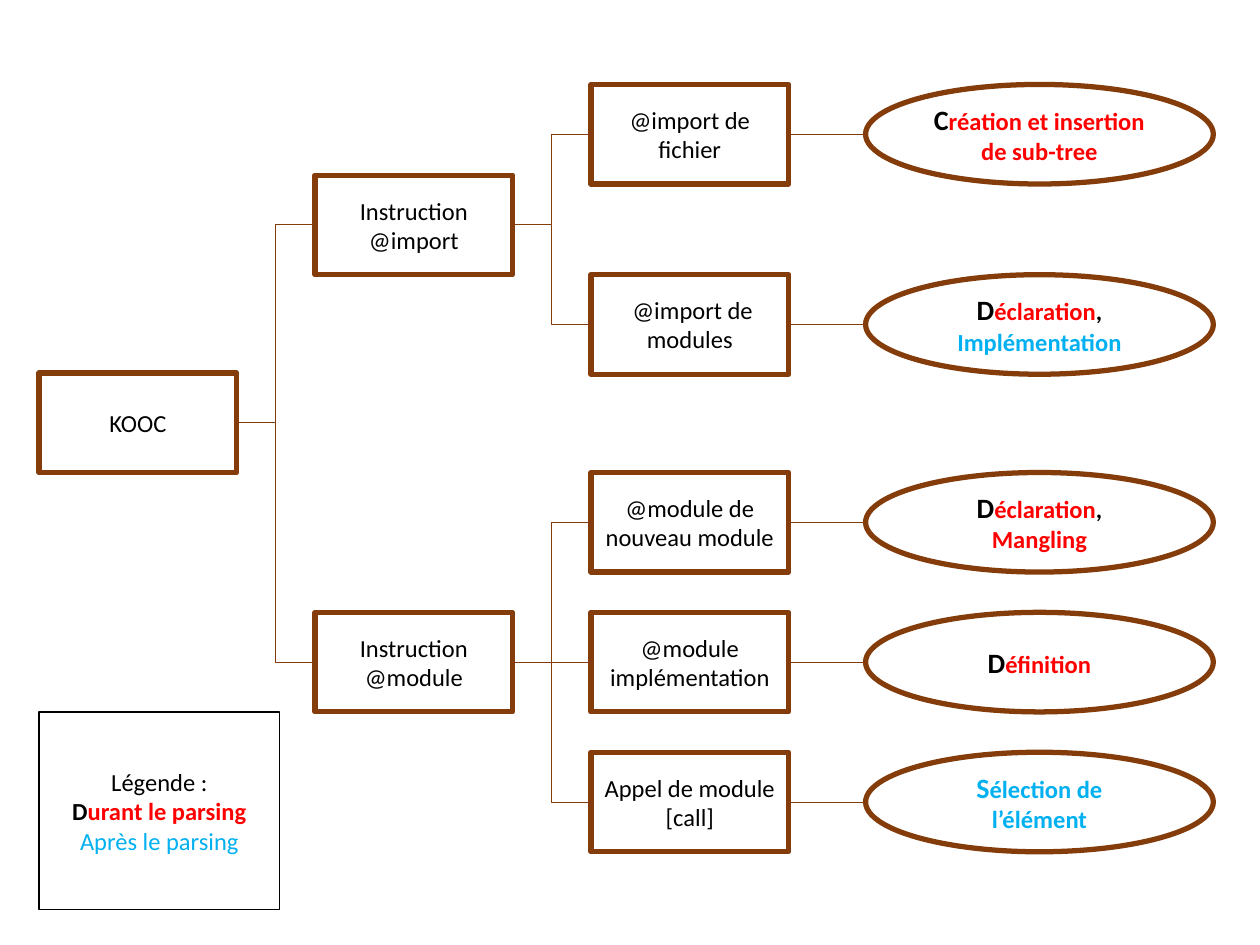
from pptx import Presentation, util as u
from pptx.dml.color import RGBColor
from pptx.enum import shapes, text
from lxml import etree

BROWN = RGBColor(0x84, 0x3C, 0x0B)
BLACK = RGBColor(0, 0, 0)
WHITE = RGBColor(255, 255, 255)
RED = RGBColor(255, 0, 0)
BLUE = RGBColor(0, 0xB0, 0xF0)
DRAWING = "http://schemas.openxmlformats.org/drawingml/2006/main"
RECT = shapes.MSO_SHAPE.RECTANGLE
OVAL = shapes.MSO_SHAPE.OVAL


class Tree:
    font = "Calibri"
    left, pitch = 0.31, 2.19
    width, height = 1.57, 0.79

    def __init__(self, slide):
        self.slide = slide

    def shape(self, kind, x, y, w, h, lines, edge=BROWN, weight=3):
        item = self.slide.shapes.add_shape(kind, *map(u.Inches, (x, y, w, h)))
        item.shadow.inherit = False
        item.fill.solid()
        item.fill.fore_color.rgb = WHITE
        item.line.color.rgb = edge
        item.line.width = u.Pt(weight)
        frame = item.text_frame
        frame.word_wrap = True
        frame.vertical_anchor = text.MSO_ANCHOR.MIDDLE
        for i, parts in enumerate(lines):
            para = frame.add_paragraph() if i else frame.paragraphs[0]
            para.alignment = text.PP_ALIGN.CENTER
            for words, color, size, bold in parts:
                run = para.add_run()
                run.text = words
                run.font.name = self.font
                run.font.size = u.Pt(size)
                run.font.bold = bold
                run.font.color.rgb = color
        return item

    def box(self, col, y, words):
        return self.shape(RECT, self.left + col * self.pitch, y, self.width,
                          self.height, [[(words, BLACK, 14, False)]])

    def oval(self, y, first, *rest):
        head = [(*first, 16, True)]
        tail = [(words, color, 14, True) for words, color in rest]
        return self.shape(OVAL, 6.87, y, 2.76, self.height, [head + tail])

    def link(self, start, end):
        y1 = start.top + start.height // 2
        y2 = end.top + end.height // 2
        kinds = shapes.MSO_CONNECTOR
        kind = kinds.STRAIGHT if y1 == y2 else kinds.ELBOW
        line = self.slide.shapes.add_connector(
            kind, start.left + start.width, y1, end.left, y2)
        line.line.color.rgb = BROWN
        line.line.width = u.Pt(0.5)
        etree.SubElement(line._element.spPr, f"{{{DRAWING}}}effectLst")


deck = Presentation()
deck.slide_width, deck.slide_height = u.Inches(10), u.Inches(7.5)
tree = Tree(deck.slides.add_slide(deck.slide_layouts[6]))

BRANCHES = [
    (1.39, "Instruction @import", [
        (0.67, "@import de fichier",
         [("C", BLACK), ("réation et insertion de sub-tree", RED)]),
        (2.18, " @import de modules",
         [("D", BLACK), ("éclaration", RED), (", ", BLACK),
          ("Implémentation", BLUE)]),
    ]),
    (4.86, "Instruction @module", [
        (3.75, "@module de nouveau module",
         [("D", BLACK), ("éclaration", RED), (", ", BLACK),
          ("Mangling", RED)]),
        (4.86, "@module implémentation",
         [("D", BLACK), ("éfinition", RED)]),
        (5.97, "Appel de module [call]",
         [("S", BLUE), ("élection de l’élément", BLUE)]),
    ]),
]

root = tree.box(0, 2.96, "KOOC")
for y, name, leaves in BRANCHES:
    branch = tree.box(1, y, name)
    tree.link(root, branch)
    for row, words, result in leaves:
        leaf = tree.box(2, row, words)
        tree.link(branch, leaf)
        tree.link(leaf, tree.oval(row, *result))

tree.shape(RECT, tree.left, 5.65, 1.91, 1.57, [
    [("Légende :", BLACK, 14, False)],
    [("D", BLACK, 14, True), ("urant le parsing", RED, 14, True)],
    [("Après le parsing", BLUE, 14, False)],
], BLACK, 1)

deck.save("out.pptx")
